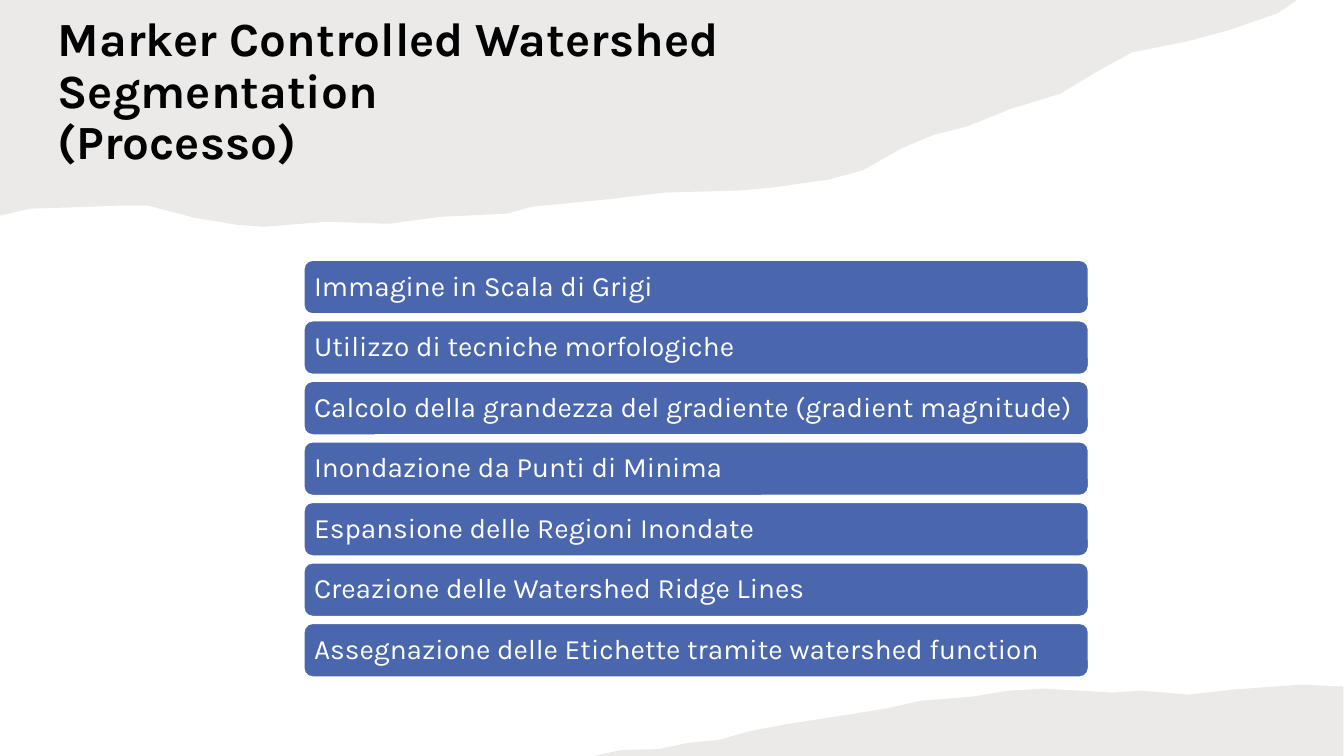
from pptx import Presentation
from pptx import util as u
from pptx.dml.color import RGBColor
from pptx.enum import shapes, text
from lxml import etree

FONT = "Karla"
INK, WHITE, BLUE, PAPER = "000000", "FFFFFF", "4A66AC", "82766A"
NS = "{http://schemas.openxmlformats.org/drawingml/2006/main}"
HUNDREDTH = u.Cm(2.54) / 100  # edge points are in hundredths of an inch

STEPS = [
    "Immagine in Scala di Grigi",
    "Utilizzo di tecniche morfologiche",
    "Calcolo della grandezza del gradiente (gradient magnitude)",
    "Inondazione da Punti di Minima",
    "Espansione delle Regioni Inondate",
    "Creazione delle Watershed Ridge Lines",
    "Assegnazione delle Etichette tramite watershed function",
]

# Torn outlines, relative to the top left corner of each piece of paper
TOP_PAPER = [
    (0, 0), (1287, 0), (1268, 13), (1219, 30), (1178, 41), (1123, 52),
    (1085, 73), (1052, 93), (1003, 108), (961, 125), (926, 134), (895, 147),
    (856, 169), (823, 178), (767, 186), (734, 189), (660, 191), (591, 199),
    (528, 205), (503, 212), (438, 215), (385, 222), (324, 220), (262, 225),
    (235, 223), (193, 216), (147, 204), (119, 204), (63, 206), (30, 207),
    (0, 214),
]
BOTTOM_PAPER = [
    (744, 71), (0, 71), (27, 65), (65, 64), (93, 58), (124, 55), (156, 46),
    (193, 39), (239, 32), (289, 24), (325, 16), (376, 12), (412, 6), (447, 4),
    (515, 8), (543, 6), (591, 10), (635, 5), (702, 0), (744, 2),
]


def rgb(value):
    return RGBColor.from_string(value)


def write(tf, words, size, color=INK, bold=False, inset=None):
    """Put one left-aligned, vertically centred paragraph into a text frame."""
    tf.word_wrap = True
    tf.auto_size = text.MSO_AUTO_SIZE.NONE
    tf.vertical_anchor = text.MSO_ANCHOR.MIDDLE
    if inset is not None:
        tf.margin_left = tf.margin_right = tf.margin_top = tf.margin_bottom = inset
    p = tf.paragraphs[0]
    p.text = words
    p.alignment = text.PP_ALIGN.LEFT
    p.line_spacing = 0.9
    for r in p.runs:
        r.font.name, r.font.size, r.font.bold = FONT, u.Pt(size), bold
        r.font.color.rgb = rgb(color)


def torn_paper(s, left, top, edge):
    fb = s.shapes.build_freeform(*edge[0], scale=HUNDREDTH)
    fb.add_line_segments(edge[1:], close=True)
    sp = fb.convert_to_shape(left, top)
    sp.shadow.inherit = False
    sp.line.fill.background()
    sp.fill.solid()
    sp.fill.fore_color.rgb = rgb(PAPER)
    # 15 % opacity
    srgb = next(sp.element.iter(NS + "srgbClr"))
    etree.SubElement(srgb, NS + "alpha").set("val", "15000")


def heading(s, left, top, width, height):
    sp = s.shapes.title
    sp.left, sp.top, sp.width, sp.height = left, top, width, height
    s.shapes.element.append(sp.element)  # in front of the paper
    write(sp.text_frame, "Marker Controlled Watershed Segmentation\v(Processo)",
          34, bold=True)


def step_list(s, left, top, width, height, bar_height):
    """Stack the steps evenly from the top to the bottom of the box."""
    group = s.shapes.add_group_shape()
    pitch = (height - bar_height) / (len(STEPS) - 1)
    for i, step in enumerate(STEPS):
        sp = group.shapes.add_shape(shapes.MSO_SHAPE.ROUNDED_RECTANGLE, left,
                                    round(top + i * pitch), width, bar_height)
        sp.shadow.inherit = False
        sp.fill.solid()
        sp.fill.fore_color.rgb = rgb(BLUE)
        sp.line.color.rgb = rgb(WHITE)
        sp.line.width = u.Pt(1.5)
        write(sp.text_frame, step, 20, color=WHITE, inset=u.Cm(0.2))


def main():
    prs = Presentation()
    prs.slide_width, prs.slide_height = u.Cm(33.87), u.Cm(19.05)
    s = prs.slides.add_slide(prs.slide_layouts[5])  # title only

    # Torn paper in the top left and bottom right corners
    torn_paper(s, 0, 0, TOP_PAPER)
    torn_paper(s, u.Cm(14.96), u.Cm(17.25), BOTTOM_PAPER)

    # Title and process steps
    heading(s, u.Cm(1.2), u.Cm(0.89), u.Cm(23.22), u.Cm(2.9))
    step_list(s, u.Cm(7.65), u.Cm(6.55), u.Cm(19.79), u.Cm(10.52), u.Cm(1.37))

    prs.save("out.pptx")


if __name__ == "__main__":
    main()
